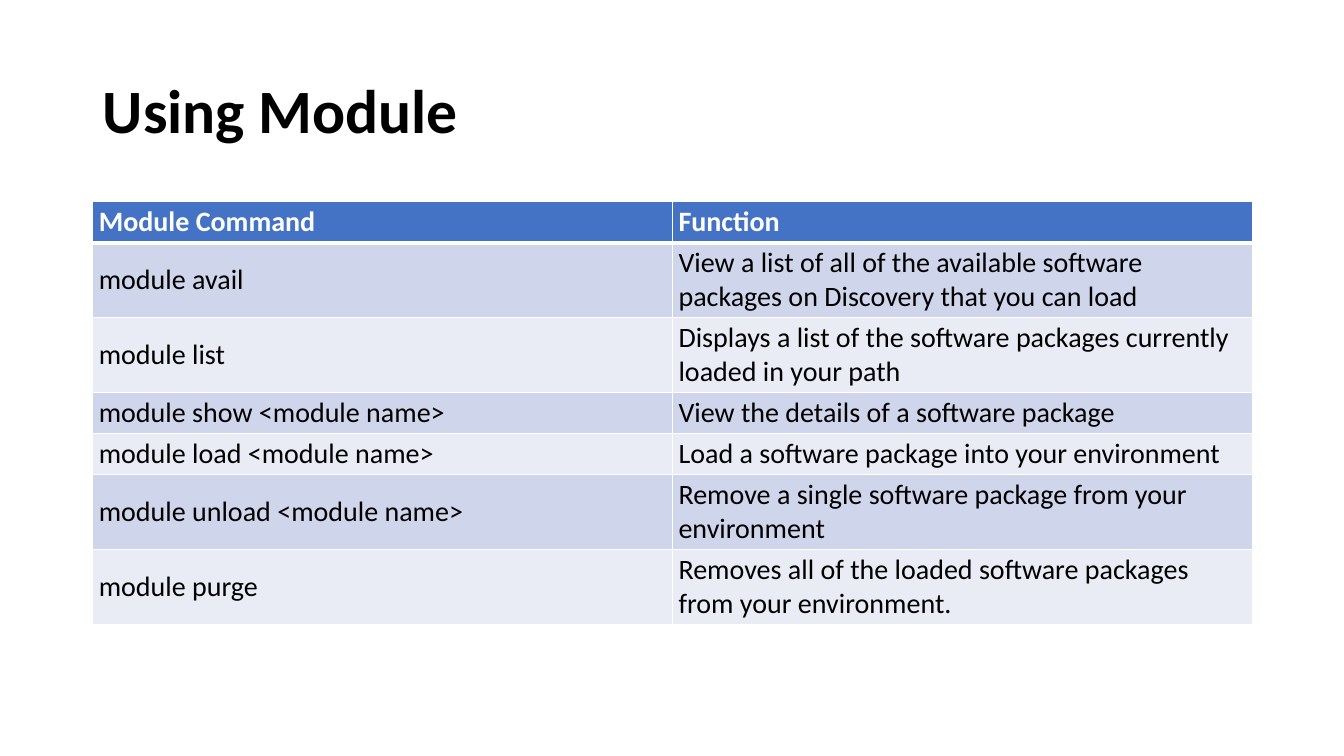
from lxml import etree
from pptx import Presentation
from pptx.dml.color import RGBColor
from pptx.enum import text
from pptx.oxml import ns
from pptx.util import Inches, Pt

COLORS = {
    "ink": "000000",
    "paper": "FFFFFF",
    "header": "4472C4",
    "odd": "CFD5EA",
    "even": "E9EBF5",
}
COMMANDS = [
    ("Module Command", "Function"),
    ("module avail", "View a list of all of the available software packages on Discovery that you can load"),
    ("module list", "Displays a list of the software packages currently loaded in your path"),
    ("module show <module name>", "View the details of a software package"),
    ("module load <module name>", "Load a software package into your environment"),
    ("module unload <module name>", "Remove a single software package from your environment"),
    ("module purge", "Removes all of the loaded software packages from your environment."),
]


def add_run(paragraph, wording, size, color, bold):
    run = paragraph.add_run()
    run.text = wording
    run.font.name = "Calibri"
    run.font.size = Pt(size)
    run.font.bold = bold
    run.font.color.rgb = RGBColor.from_string(COLORS[color])


def add_border(cell, side, width):
    line = etree.SubElement(cell._tc.get_or_add_tcPr(), ns.qn(f"a:ln{side}"), w=str(Pt(width)))
    fill = etree.SubElement(line, ns.qn("a:solidFill"))
    etree.SubElement(fill, ns.qn("a:srgbClr"), val=COLORS["paper"])


prs = Presentation()
prs.slide_width = Inches(13.33)
prs.slide_height = Inches(7.5)
slide = prs.slides.add_slide(prs.slide_layouts[5])

heading = slide.shapes.title
heading.left, heading.top = Inches(0.92), Inches(0.4)
heading.width, heading.height = Inches(11.5), Inches(1.45)
heading.text_frame.vertical_anchor = text.MSO_ANCHOR.MIDDLE
heading_line = heading.text_frame.paragraphs[0]
heading_line.alignment = text.PP_ALIGN.LEFT
heading_line.line_spacing = 0.9
add_run(heading_line, "Using Module", 44, "ink", True)

row_height = Inches(0.41)
commands = slide.shapes.add_table(
    len(COMMANDS), 2, Inches(0.92), Inches(2), Inches(11.5), row_height * len(COMMANDS)
).table

for row, entries in enumerate(COMMANDS):
    commands.rows[row].height = row_height
    is_header = row == 0
    band = "header" if is_header else "odd" if row % 2 else "even"
    for column, wording in enumerate(entries):
        cell = commands.cell(row, column)
        cell.margin_left = cell.margin_right = Inches(0.06)
        cell.margin_top = cell.margin_bottom = Inches(0.03)
        cell.vertical_anchor = text.MSO_ANCHOR.MIDDLE
        for side in "LRTB":
            thick = is_header and side == "B" or row == 1 and side == "T"
            add_border(cell, side, 3 if thick else 1)
        cell.fill.solid()
        cell.fill.fore_color.rgb = RGBColor.from_string(COLORS[band])
        add_run(cell.text_frame.paragraphs[0], wording, 20, "paper" if is_header else "ink", is_header)

prs.save("out.pptx")
